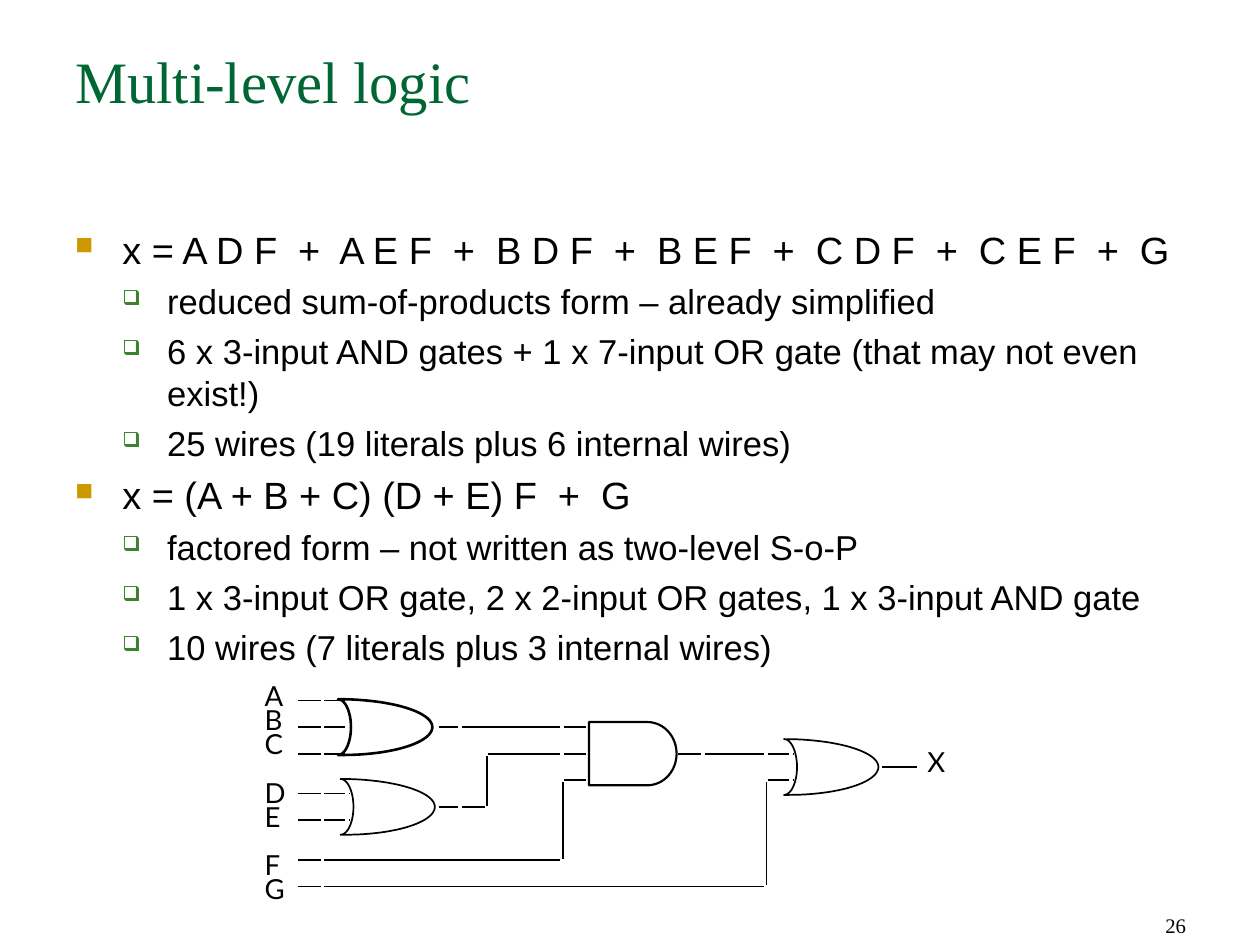
import math
from lxml import etree
from pptx import Presentation, util as u
from pptx.dml.color import RGBColor
from pptx.enum import shapes, text
from pptx.oxml import ns

WIDTH, HEIGHT = u.Inches(10.14), u.Inches(7.6)
ORIGIN_X, ORIGIN_Y = 2.4, 5.64
COLUMN, ROW = 0.1, 0.107
BULLETS = [("■", "CC9900", 65, 0.38, 0.38, 22), ("❑", "3B812F", 60, 0.74, 0.36, 20)]
POINTS = [
    (0, "x = A D F  +  A E F  +  B D F  +  B E F  +  C D F  +  C E F  +  G"),
    (1, "reduced sum-of-products form – already simplified"),
    (1, "6 x 3-input AND gates + 1 x 7-input OR gate (that may not even exist!)"),
    (1, "25 wires (19 literals plus 6 internal wires)"),
    (0, "x = (A + B + C) (D + E) F  +  G"),
    (1, "factored form –\u00a0not written as two-level S-o-P"),
    (1, "1 x 3-input OR gate, 2 x 2-input OR gates, 1 x 3-input AND gate"),
    (1, "10 wires (7 literals plus 3 internal wires)"),
]
INPUT_ROWS = [0, 2, 4, 7, 9]
ACROSS = [
    (2, 11.3, 12.9), (2, 13.2, 21.1), (2, 21.4, 23.2),
    (8, 11.3, 12.9), (8, 13.2, 15), (4, 15.3, 21.1), (4, 21.4, 23.2),
    (6, 21.4, 23.2), (4, 30.6, 32.4), (4, 32.7, 37.5), (4, 37.8, 39.5),
    (6, 37.8, 39.5), (5, 47, 49.8),
    (12, 0, 1.8), (12, 2.1, 21.1), (14, 0, 1.8), (14, 2.1, 37.5),
    (7, 4.1, 4.2), (9, 4.1, 4.2), (4, 39.8, 39.9), (6, 39.8, 39.9),
]
DOWN = [(15.2, 4, 8), (21.3, 6, 12), (37.7, 6, 14)]


def color(value):
    return RGBColor.from_string(value)


def spot(column, row):
    return u.Inches(ORIGIN_X + column * COLUMN), u.Inches(ORIGIN_Y + row * ROW)


def add_box(page, area, inset=(0.1, 0.05), wrap=True, anchor=text.MSO_ANCHOR.TOP):
    left, top, width, height = area
    box = page.shapes.add_textbox(
        int(WIDTH * left / 100), int(HEIGHT * top / 100),
        int(WIDTH * width / 100), int(HEIGHT * height / 100))
    frame = box.text_frame
    frame.margin_left = frame.margin_right = u.Inches(inset[0])
    frame.margin_top = frame.margin_bottom = u.Inches(inset[1])
    frame.word_wrap = wrap
    frame.vertical_anchor = anchor
    return frame


def add_bullet(para, level):
    mark, tint, size, margin, hang, _ = BULLETS[level]
    para.level = level
    props = para._p.get_or_add_pPr()
    props.set("marL", str(u.Inches(margin)))
    props.set("indent", str(-u.Inches(hang)))
    holder = etree.SubElement(props, ns.qn("a:buClr"))
    etree.SubElement(holder, ns.qn("a:srgbClr"), val=tint)
    etree.SubElement(props, ns.qn("a:buSzPct"), val=str(size * 1000))
    etree.SubElement(props, ns.qn("a:buChar"), char=mark)


def write(frame, words, first=False, font="Arial", size=20, tint="000000",
          align=text.PP_ALIGN.LEFT, before=0, spacing=None, level=None):
    para = frame.paragraphs[0] if first else frame.add_paragraph()
    if level is not None:
        add_bullet(para, level)
    para.alignment = align
    para.space_before = u.Pt(0 if first else before)
    if spacing:
        para.line_spacing = u.Pt(spacing)
    span = para.add_run()
    span.text = words
    span.font.name = font
    span.font.size = u.Pt(size)
    span.font.color.rgb = color(tint)


def add_wire(page, start, end):
    wire = page.shapes.add_connector(
        shapes.MSO_CONNECTOR.STRAIGHT, *spot(*start), *spot(*end))
    wire.line.color.rgb = color("000000")
    wire.line.width = u.Pt(1)
    etree.SubElement(wire._element.spPr, ns.qn("a:effectLst"))


def arc(center, radii, start, end, steps=24):
    angles = [math.radians(start + (end - start) * i / steps) for i in range(steps + 1)]
    return [spot(center[0] + radii[0] * math.cos(a), center[1] - radii[1] * math.sin(a))
            for a in angles]


def add_outline(page, points, weight):
    builder = page.shapes.build_freeform(*points[0], scale=1.0)
    builder.add_line_segments(points[1:], close=True)
    gate = builder.convert_to_shape()
    gate.shadow.inherit = False
    gate.fill.solid()
    gate.fill.fore_color.rgb = color("FFFFFF")
    gate.line.color.rgb = color("000000")
    gate.line.width = u.Pt(weight)


def add_or_gate(page, left, middle, weight=1):
    half = 2.1
    add_outline(page, arc((left, middle), (7.6, half), 90, 0)
                + arc((left + 0.4, middle), (7.2, half), 0, -90)
                + arc((left, middle), (1.05, half), -90, 90), weight)


def add_and_gate(page, left, middle):
    half = 2.38
    add_outline(page, [spot(left, middle + half), spot(left, middle - half)]
                + arc((left + 4.7, middle), (2.35, half), 90, -90), 1.25)


def add_circuit(page):
    add_or_gate(page, 3.2, 2, weight=1.5)
    add_or_gate(page, 3.4, 8)
    add_and_gate(page, 23.4, 4)
    add_or_gate(page, 39.1, 5)
    stubs = [(row, *ends) for row in INPUT_ROWS for ends in [(0, 1.8), (2.1, 3.8)]]
    for row, start, end in stubs + ACROSS:
        add_wire(page, (start, row), (end, row))
    for column, top, bottom in DOWN:
        add_wire(page, (column, top + 0.15), (column, bottom - 0.1))

    inputs = add_box(page, (20.8, 72.5, 3.6, 23.6), inset=(0.02, 0.03), wrap=False)
    for name in "ABCDEFG":
        write(inputs, name, first=name == "A", font="Lato", size=16,
              spacing=14, before=14 if name in "DF" else 0)
    output = add_box(page, (73.4, 79.3, 6.3, 5), inset=(0.02, 0.03), wrap=False)
    write(output, "X", first=True, font="Lato", size=16, spacing=15)


def main():
    deck = Presentation()
    deck.slide_width, deck.slide_height = WIDTH, HEIGHT
    page = deck.slides.add_slide(deck.slide_layouts[6])

    number = add_box(page, (71.7, 93.3, 23.4, 6.7), anchor=text.MSO_ANCHOR.BOTTOM)
    write(number, "26", first=True, font="Times New Roman", size=12,
          align=text.PP_ALIGN.RIGHT)
    add_circuit(page)
    title = add_box(page, (5, 4.1, 90, 16.6))
    write(title, "Multi-level logic", first=True, font="Times New Roman",
          size=34, tint="006633")
    body = add_box(page, (5, 23.3, 90, 66))
    for i, (level, words) in enumerate(POINTS):
        write(body, words, first=i == 0, size=BULLETS[level][-1], before=5, level=level)
    deck.save("out.pptx")


if __name__ == "__main__":
    main()
